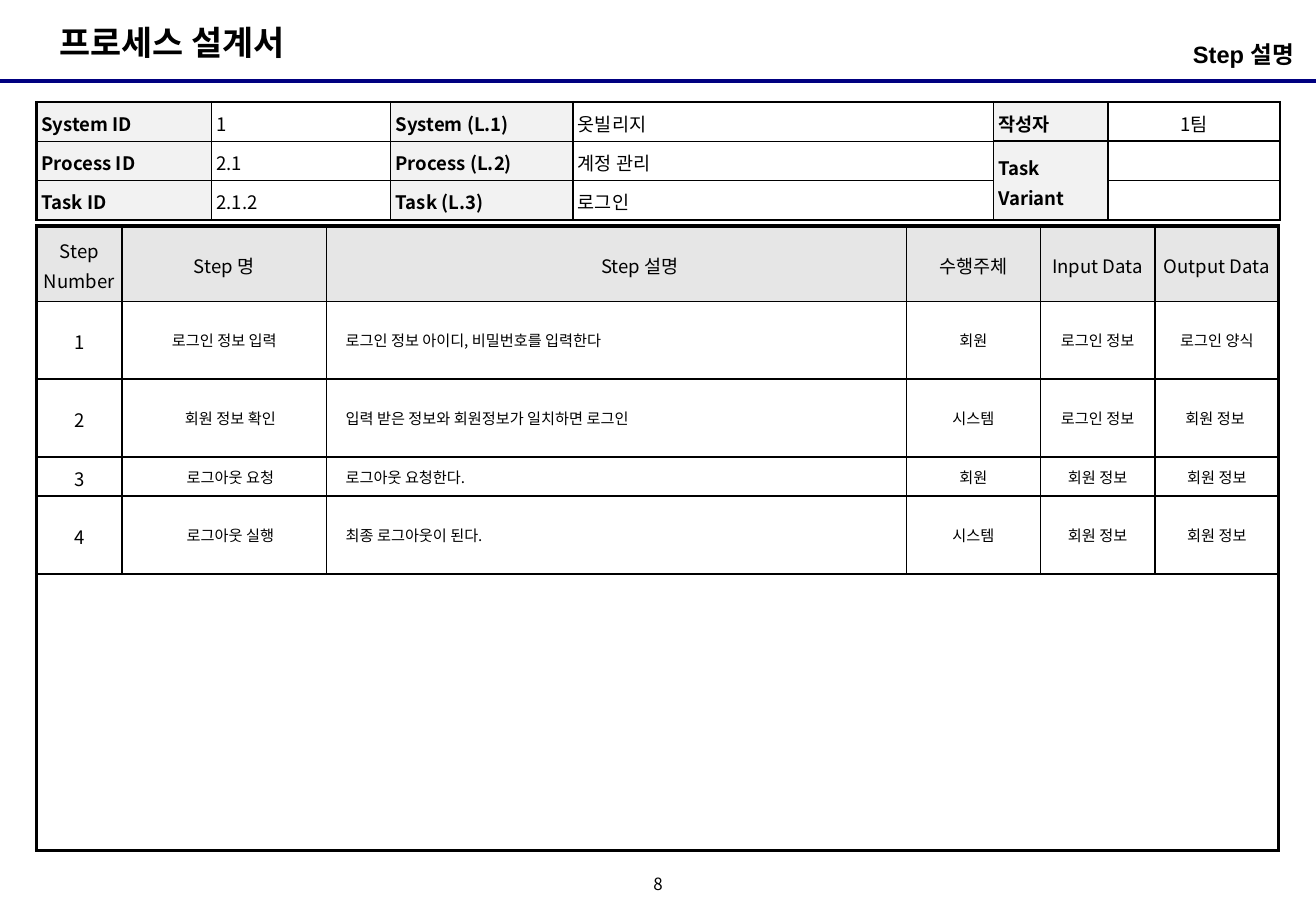
from lxml.etree import SubElement
from pptx import Presentation
from pptx.dml.color import RGBColor
from pptx.enum.shapes import MSO_CONNECTOR as Connector
from pptx.enum.text import MSO_ANCHOR as Anchor, MSO_AUTO_SIZE as AutoSize, PP_ALIGN as Align
from pptx.oxml.ns import qn
from pptx.util import Pt

# Content
TITLE = "프로세스 설계서"
SUBTITLE = "Step 설명 "
PAGE_NUMBER = "8"
HEADER_ROWS = [
    ("System ID", "1", "System (L.1)", "옷빌리지", "작성자", "1팀"),
    ("Process ID", "2.1", "Process (L.2)", "계정 관리", "Task Variant", ""),
    ("Task ID", "2.1.2", "Task (L.3)", "로그인", "", ""),
]
STEP_ROWS = [
    ("Step Number", "Step 명", "Step 설명", "수행주체", "Input Data", "Output Data"),
    ("1", "로그인 정보 입력", "로그인 정보 아이디, 비밀번호를 입력한다", "회원", "로그인 정보", "로그인 양식"),
    ("2", "회원 정보 확인", "입력 받은 정보와 회원정보가 일치하면 로그인", "시스템", "로그인 정보", "회원 정보 "),
    ("3", "로그아웃 요청", "로그아웃 요청한다.", "회원", "회원 정보", "회원 정보"),
    ("4", "로그아웃 실행", "최종 로그아웃이 된다.", "시스템", "회원 정보", "회원 정보"),
    ("",) * 6,
    ("",) * 6,
]

# Layout, in points
SLIDE_WIDTH, SLIDE_HEIGHT = 780, 540
TABLE_LEFT = 21.6
HEADER_TOP, STEP_TOP = 60.4, 134
HEADER_COLUMNS = (103.7, 106.3, 108, 249.3, 68, 102)
HEADER_HEIGHTS = (22.4,) * 3
HEADER_MERGES = [(1, 4, 2, 4)]
STEP_COLUMNS = (50.8, 121, 344, 79.2, 68, 73.4)
STEP_HEIGHTS = (44.6, 46.1, 46.1, 20, 46.1, 118, 46.1)
STEP_MERGES = [(5, 0, 6, 3), (5, 4, 5, 5), (6, 4, 6, 5)]
BLANK_START = 5

COLORS = {"text": "000000", "rule": "000080", "border": "000000",
          "label": "F2F2F2", "heading": "E6E6E6"}
SANS, KOREAN = "Arial", "Noto Sans CJK KR"


def color(name):
    return RGBColor.from_string(COLORS[name])


def write(frame, text, size, name=KOREAN, bold=False, align=Align.LEFT, spacing=1.0, indent=0):
    frame.text = text
    paragraph = frame.paragraphs[0]
    paragraph.alignment = align
    paragraph.line_spacing = spacing
    paragraph.space_before = Pt(0)
    font = paragraph.font
    font.size, font.bold, font.name = Pt(size), bold, name
    font.color.rgb = color("text")
    properties = paragraph._p.get_or_add_pPr()
    properties.set("marL", str(Pt(indent)))
    properties.set("indent", "0")
    SubElement(properties.find(qn("a:defRPr")), qn("a:ea"), typeface=KOREAN)
    return properties


def set_box(shape, left, top, width, height, margins, anchor=Anchor.TOP):
    shape.left, shape.top, shape.width, shape.height = map(Pt, (left, top, width, height))
    frame = shape.text_frame
    frame.word_wrap, frame.auto_size, frame.vertical_anchor = True, AutoSize.NONE, anchor
    frame.margin_left = frame.margin_right = Pt(margins[0])
    frame.margin_top = frame.margin_bottom = Pt(margins[1])
    return frame


def set_border(cell, side, width):
    line = SubElement(cell._tc.get_or_add_tcPr(), qn("a:" + side), w=str(Pt(width)))
    if width:
        fill = SubElement(line, qn("a:solidFill"))
        SubElement(fill, qn("a:srgbClr"), val=COLORS["border"])
    else:
        SubElement(line, qn("a:noFill"))


# Border widths: the line above a row, or the line left of a column
def header_line(axis, row, column):
    if axis == "above":
        return 1.5 if row in (0, 3) or (row == 1 and column >= 4) else 1
    return 1.5 if column in (0, 6) else 1


def step_line(axis, row, column):
    if axis == "above":
        return {0: 2.25, 6: 0, 7: 2.25}.get(row, 1)
    if column in (0, 6):
        return 2.25
    return 0 if row >= BLANK_START else 1


# Cell styles: fill, anchor, side margin, text options
def header_style(row, column):
    label = column % 2 == 0
    anchor = Anchor.MIDDLE if column >= 4 else Anchor.TOP
    align = Align.CENTER if column == 5 else Align.LEFT
    return "label" if label else None, anchor, 2.9, dict(
        size=11, bold=label, align=align, spacing=1.1)


def step_style(row, column):
    large = row == 0 or column == 0
    align = Align.LEFT if row and column == 2 else Align.CENTER
    indent = 0
    if column == 2:
        indent = 7.2 if row else 28
    elif column == 1 and row > 1:
        indent = 7.2
    return None if row else "heading", Anchor.MIDDLE, 4.3, dict(
        size=11 if large else 9, align=align, spacing=1.1 if large else 1.0, indent=indent)


def build_table(slide, top, rows, widths, heights, merges, line_width, style):
    table = slide.shapes.add_table(len(rows), len(widths), Pt(TABLE_LEFT), Pt(top),
                                   Pt(sum(widths)), Pt(sum(heights))).table
    table.first_row = table.horz_banding = False
    for column, width in zip(table.columns, widths):
        column.width = Pt(width)
    for row, height in zip(table.rows, heights):
        row.height = Pt(height)
    areas = {}
    for first_row, first_column, last_row, last_column in merges:
        table.cell(first_row, first_column).merge(table.cell(last_row, last_column))
        for row in range(first_row, last_row + 1):
            for column in range(first_column, last_column + 1):
                areas[row, column] = (first_row, first_column, last_row, last_column)
    for row, texts in enumerate(rows):
        for column, text in enumerate(texts):
            cell = table.cell(row, column)
            first_row, first_column, last_row, last_column = areas.get(
                (row, column), (row, column, row, column))
            set_border(cell, "lnL", line_width("left", row, first_column))
            set_border(cell, "lnR", line_width("left", row, last_column + 1))
            set_border(cell, "lnT", line_width("above", first_row, column))
            set_border(cell, "lnB", line_width("above", last_row + 1, column))
            fill, anchor, margin, options = style(row, column)
            if fill:
                cell.fill.solid()
                cell.fill.fore_color.rgb = color(fill)
            else:
                cell.fill.background()
            cell.vertical_anchor = anchor
            cell.margin_left = cell.margin_right = Pt(margin)
            cell.margin_top = cell.margin_bottom = Pt(2.9)
            write(cell.text_frame, text, **options)


def main():
    presentation = Presentation()
    presentation.slide_width, presentation.slide_height = Pt(SLIDE_WIDTH), Pt(SLIDE_HEIGHT)
    slide = presentation.slides.add_slide(presentation.slide_layouts[1])

    # Title, subtitle and rule
    frame = set_box(slide.shapes.title, 28, 9.4, 163, 31.7, (7.2, 3.6))
    write(frame, TITLE, 20, SANS, True)
    frame = set_box(slide.placeholders[1], 532, 20.2, 238.4, 28, (0, 3.6))
    properties = write(frame, SUBTITLE, 14, SANS, True, Align.RIGHT)
    properties.find(qn("a:defRPr")).addprevious(SubElement(properties, qn("a:buNone")))
    rule = slide.shapes.add_connector(Connector.STRAIGHT, 0, Pt(48.2), Pt(SLIDE_WIDTH), Pt(48.2))
    rule.line.color.rgb = color("rule")
    rule.line.width = Pt(2.25)
    SubElement(rule._element.spPr, qn("a:effectLst"))

    # Tables
    build_table(slide, HEADER_TOP, HEADER_ROWS, HEADER_COLUMNS, HEADER_HEIGHTS,
                HEADER_MERGES, header_line, header_style)
    build_table(slide, STEP_TOP, STEP_ROWS, STEP_COLUMNS, STEP_HEIGHTS,
                STEP_MERGES, step_line, step_style)

    # Page number
    page = slide.shapes.add_textbox(0, 0, 0, 0)
    frame = set_box(page, 378, 516.2, 24, 18, (0, 0), Anchor.MIDDLE)
    write(frame, PAGE_NUMBER, 10, align=Align.CENTER, spacing=0.8)

    presentation.save("out.pptx")


if __name__ == "__main__":
    main()
